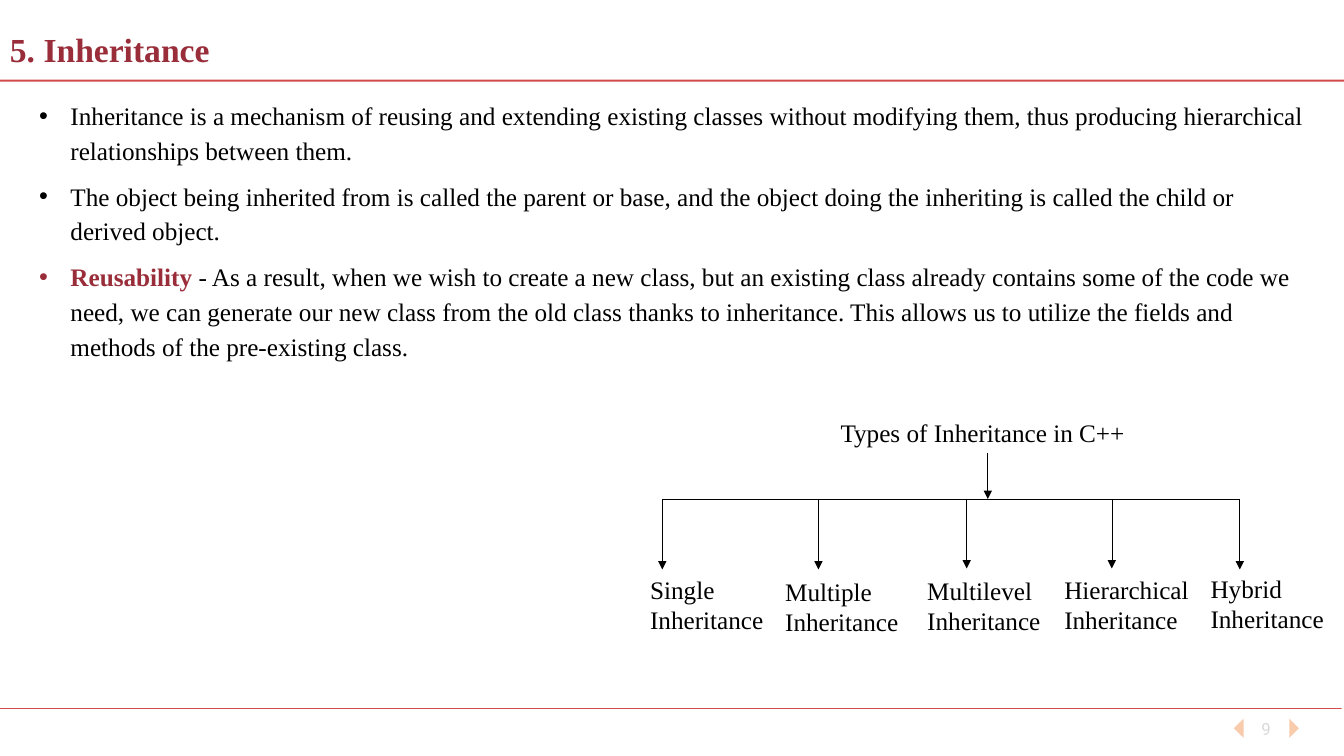
from lxml.etree import SubElement
from pptx import Presentation
from pptx.dml.color import RGBColor
from pptx.enum.shapes import MSO_CONNECTOR
from pptx.enum.text import MSO_ANCHOR, MSO_AUTO_SIZE, PP_ALIGN
from pptx.oxml.ns import qn
from pptx.util import Inches, Pt

BLACK = RGBColor(0x00, 0x00, 0x00)
MAROON = RGBColor(0x99, 0x2E, 0x3A)
RULE_RED = RGBColor(0xC0, 0x00, 0x00)
PEACH = RGBColor(0xF8, 0xCB, 0xAD)
PALE_GRAY = RGBColor(0xD9, 0xD9, 0xD9)

SERIF = "Times New Roman"
BULLET_INDENT = Inches(0.31)


class SlideBuilder:
    """Draws on one slide; lengths are percentages of its width and height."""

    def __init__(self, presentation):
        self.slide = presentation.slides.add_slide(presentation.slide_layouts[6])
        self.column = presentation.slide_width / 100
        self.row = presentation.slide_height / 100

    def point(self, x, y):
        return round(x * self.column), round(y * self.row)

    def style(self, paragraph, size=18, color=BLACK, bold=False, name=SERIF):
        font = paragraph.font
        font.name, font.size, font.bold = name, Pt(size), bold
        font.color.rgb = color

    def box(self, x, y, width, height, wrap=True, anchor=MSO_ANCHOR.TOP, grow=False):
        shape = self.slide.shapes.add_textbox(*self.point(x, y), *self.point(width, height))
        frame = shape.text_frame
        frame.word_wrap = wrap
        frame.vertical_anchor = anchor
        if grow:
            frame.auto_size = MSO_AUTO_SIZE.SHAPE_TO_FIT_TEXT
        return frame

    def text(self, text, x, y, width, height, wrap=True, anchor=MSO_ANCHOR.TOP,
             grow=False, **style):
        frame = self.box(x, y, width, height, wrap, anchor, grow)
        frame.text = text
        paragraph = frame.paragraphs[0]
        self.style(paragraph, **style)
        return paragraph

    def label(self, text, x, y, width, height):
        self.text(text, x, y, width, height, wrap=False, grow=True)

    def bullets(self, items, x, y, width, height):
        frame = self.box(x, y, width, height, grow=True)
        for index, (lead, text) in enumerate(items):
            paragraph = frame.add_paragraph() if index else frame.paragraphs[0]
            properties = paragraph._p.get_or_add_pPr()
            properties.set("marL", str(BULLET_INDENT))
            properties.set("indent", str(-BULLET_INDENT))
            SubElement(properties, qn("a:buFont"), typeface="Arial")
            SubElement(properties, qn("a:buChar"), char="•")
            paragraph.line_spacing = 1.15
            paragraph.space_after = Pt(8)
            self.style(paragraph)
            if lead:
                run = paragraph.add_run()
                run.text = lead
                run.font.bold = True
                run.font.color.rgb = MAROON
            paragraph.add_run().text = text

    def line(self, x1, y1, x2, y2, color=BLACK, width=0.5, opacity=100, arrow=False):
        connector = self.slide.shapes.add_connector(
            MSO_CONNECTOR.STRAIGHT, *self.point(x1, y1), *self.point(x2, y2))
        connector.line.color.rgb = color
        connector.line.width = Pt(width)
        properties = connector.element.spPr
        outline = properties.find(qn("a:ln"))
        if opacity < 100:
            SubElement(outline.find(".//" + qn("a:srgbClr")), qn("a:alpha"),
                       val=str(opacity * 1000))
        if arrow:
            SubElement(outline, qn("a:tailEnd"), type="triangle")
        SubElement(properties, qn("a:effectLst"))

    def triangle(self, base, tip, top=95.07, bottom=97.6):
        builder = self.slide.shapes.build_freeform(*self.point(base, top))
        builder.add_line_segments(
            [self.point(tip, (top + bottom) / 2), self.point(base, bottom)], close=True)
        shape = builder.convert_to_shape()
        shape.shadow.inherit = False
        shape.fill.solid()
        shape.fill.fore_color.rgb = PEACH
        shape.line.fill.background()


def main():
    presentation = Presentation()
    presentation.slide_width = Inches(13.33)
    presentation.slide_height = Inches(7.5)
    builder = SlideBuilder(presentation)

    # Footer: page number between two triangles
    number = builder.text("9", 92.1, 93.73, 4.2, 5.33, anchor=MSO_ANCHOR.MIDDLE,
                          size=12, color=PALE_GRAY, name="Roboto")
    number.alignment = PP_ALIGN.CENTER
    builder.triangle(base=95.93, tip=96.65)
    builder.triangle(base=92.53, tip=91.8)

    # Rules above the footer and below the title
    builder.line(0, 93.73, 99.83, 93.73, RULE_RED, 0.5, opacity=70)
    builder.line(0, 10.67, 100, 10.67, RULE_RED, 1.5, opacity=70)

    # Body
    builder.bullets([
        ("", "Inheritance is a mechanism of reusing and extending existing classes "
             "without modifying them, thus producing hierarchical relationships "
             "between them."),
        ("", "The object being inherited from is called the parent or base, and the "
             "object doing the inheriting is called the child or derived object."),
        ("Reusability",
         " - As a result, when we wish to create a new class, but an existing class "
         "already contains some of the code we need, we can generate our new class "
         "from the old class thanks to inheritance. This allows us to utilize the "
         "fields and methods of the pre-existing class."),
    ], 2.18, 12, 95.85, 41.33)

    # Tree of inheritance types: kind, arrow x, arrow end, label x, label y, label width
    branches = [
        ("Single", 49.28, 75.33, 47.63, 75.33, 10.05),
        ("Multiple", 60.9, 75.33, 57.68, 75.6, 10.05),
        ("Multilevel", 71.93, 75.2, 68.25, 75.47, 10.05),
        ("Hierarchical", 82.73, 75.2, 78.45, 75.33, 11.33),
        ("Hybrid", 92.25, 75.33, 89.33, 75.2, 10.05),
    ]
    bar = 66
    builder.label("Types of Inheritance in C++", 61.8, 54.53, 22.88, 5.33)
    builder.line(73.5, 59.87, 73.5, bar, arrow=True)
    builder.line(branches[0][1], bar, branches[-1][1], bar)
    for kind, x, end, left, top, width in branches:
        builder.line(x, bar, x, end, arrow=True)
        builder.label(f"{kind} \vInheritance", left, top, width, 9.47)

    # Title
    title = builder.text("5. Inheritance", 0, 2.93, 91.35, 7.73,
                         anchor=MSO_ANCHOR.MIDDLE, size=24, color=MAROON, bold=True)
    title.line_spacing = 0.9

    presentation.save("out.pptx")


if __name__ == "__main__":
    main()
